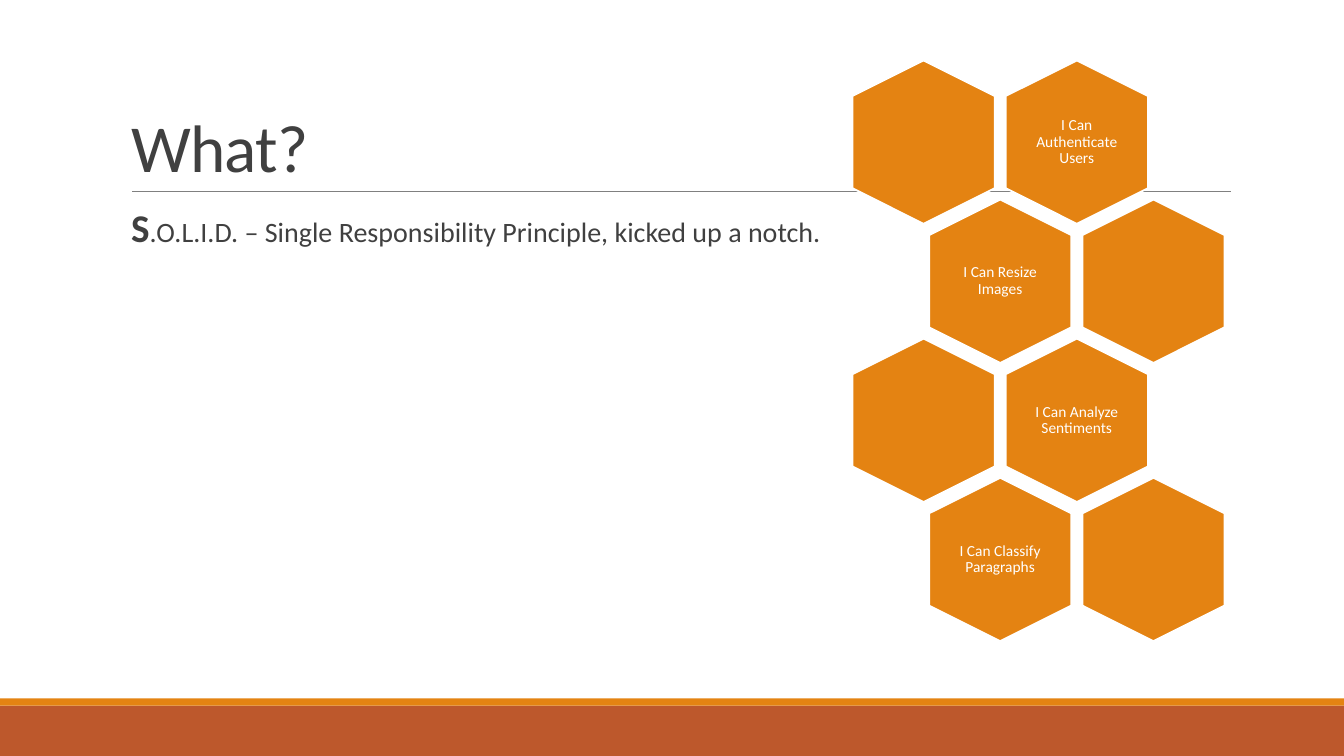
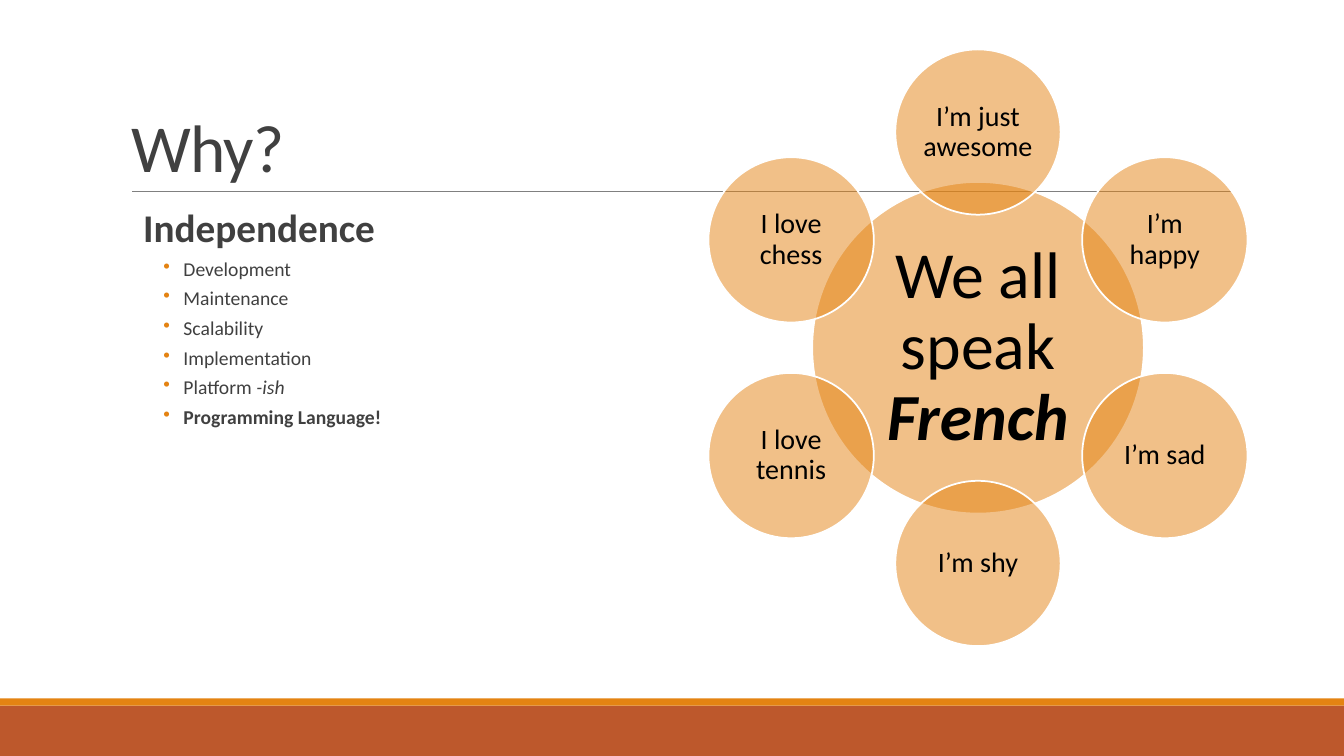
from math import cos, radians, sin

from lxml.etree import SubElement
from pptx import Presentation
from pptx.dml.color import RGBColor
from pptx.enum.shapes import MSO_CONNECTOR, MSO_SHAPE as SHAPE
from pptx.enum.text import MSO_ANCHOR as ANCHOR, PP_ALIGN as ALIGN
from pptx.oxml.ns import qn
from pptx.util import Inches, Pt

COLORS = {
    "orange": "E48312",
    "rust": "BD582C",
    "rule": "808080",
    "text": "404040",
    "white": "FFFFFF",
    "black": "000000",
}
FONT = "Calibri"


def rgb(name):
    return RGBColor.from_string(COLORS[name])


def write(paragraph, text, size=14, color="text", bold=False, italic=False, tracking=None):
    """Add one formatted run; tracking is in hundredths of a point."""
    run = paragraph.add_run()
    run.text = text
    font = run.font
    font.name, font.size = FONT, Pt(size)
    font.bold, font.italic = bold, italic
    font.color.rgb = rgb(color)
    if tracking is not None:
        run._r.get_or_add_rPr().set("spc", str(tracking))


def set_frame(frame, anchor=ANCHOR.TOP, side=0.1, top=0.05):
    frame.word_wrap = True
    frame.vertical_anchor = anchor
    frame.margin_left = frame.margin_right = Inches(side)
    frame.margin_top = frame.margin_bottom = Inches(top)


def set_paragraph(paragraph, align=ALIGN.LEFT, spacing=0.9, before=0, after=0,
                  level=0, margin=0, indent=0, bullet=None):
    paragraph.alignment, paragraph.line_spacing = align, spacing
    paragraph.space_before, paragraph.space_after = Pt(before), Pt(after)
    paragraph.level = level
    properties = paragraph._p.get_or_add_pPr()
    properties.set("marL", str(Inches(margin)))
    properties.set("indent", str(Inches(indent)))
    if bullet:
        color = SubElement(properties, qn("a:buClr"))
        SubElement(color, qn("a:srgbClr")).set("val", COLORS["orange"])
        SubElement(properties, qn("a:buChar")).set("char", bullet)


class Deck:
    def __init__(self):
        self.presentation = Presentation()
        self.presentation.slide_width = Inches(13.33)
        self.presentation.slide_height = Inches(7.5)
        self.slide = None

    def new_slide(self, title):
        layout = self.presentation.slide_layouts[5]
        self.slide = self.presentation.slides.add_slide(layout)
        self.shape(SHAPE.RECTANGLE, 0, 7, 13.33, 0.5, fill="rust")
        self.shape(SHAPE.RECTANGLE, 0, 6.93, 13.33, 0.07)
        self.rule(1.31, 12.21, 1.9)
        heading = self.slide.shapes.title
        heading.left, heading.top = Inches(1.2), Inches(0.31)
        heading.width, heading.height = Inches(11), Inches(1.59)
        set_frame(heading.text_frame, ANCHOR.BOTTOM)
        paragraph = heading.text_frame.paragraphs[0]
        set_paragraph(paragraph, spacing=0.85)
        write(paragraph, title, size=48, tracking=-50)

    def rule(self, left, right, y):
        line = self.slide.shapes.add_connector(
            MSO_CONNECTOR.STRAIGHT, Inches(left), Inches(y), Inches(right), Inches(y))
        line.line.color.rgb = rgb("rule")
        line.line.width = Pt(0.5)
        SubElement(line._element.spPr, qn("a:effectLst"))

    def shape(self, kind, left, top, width, height, fill="orange", outline=None, opacity=None):
        shape = self.slide.shapes.add_shape(
            kind, Inches(left), Inches(top), Inches(width), Inches(height))
        shape.shadow.inherit = False
        shape.fill.solid()
        shape.fill.fore_color.rgb = rgb(fill)
        if opacity is not None:
            color = shape._element.spPr.find(qn("a:solidFill")).find(qn("a:srgbClr"))
            SubElement(color, qn("a:alpha")).set("val", str(opacity * 1000))
        if outline:
            shape.line.color.rgb = rgb(outline)
            shape.line.width = Pt(1.25)
        else:
            shape.line.fill.background()
        return shape

    def text_box(self, left, top, width, height):
        return self.slide.shapes.add_textbox(
            Inches(left), Inches(top), Inches(width), Inches(height)).text_frame

    def body(self, paragraphs):
        """Fill the body area from (paragraph format, [(text, run format)]) pairs."""
        frame = self.text_box(1.2, 2.02, 11, 4.4)
        set_frame(frame, side=0)
        for index, (layout, runs) in enumerate(paragraphs):
            paragraph = frame.add_paragraph() if index else frame.paragraphs[0]
            set_paragraph(paragraph, **layout)
            for text, style in runs:
                write(paragraph, text, **style)

    def label(self, frame, runs, inset, **style):
        """Centre the (text, run format) pairs in a frame."""
        set_frame(frame, ANCHOR.MIDDLE, side=inset, top=inset)
        paragraph = frame.paragraphs[0]
        set_paragraph(paragraph, align=ALIGN.CENTER)
        for text, extra in runs:
            write(paragraph, text, **style, **extra)

    def hexagon(self, x, y, text):
        """Draw a point-up hexagon centred at x, y, with upright text."""
        length, breadth = 1.62, 1.41
        cell = self.shape(SHAPE.HEXAGON, x - length / 2, y - breadth / 2,
                          length, breadth, outline="white")
        cell.rotation = 90
        cell.adjustments[0] = 0.25
        if text:
            frame = self.text_box(x - 0.485, y - 0.56, 0.97, 1.12)
            self.label(frame, [(text, {})], 0.05, size=11, color="white")

    def circle(self, x, y, diameter, runs, size, inset):
        disc = self.shape(SHAPE.OVAL, x - diameter / 2, y - diameter / 2,
                          diameter, diameter, outline="white", opacity=50)
        self.label(disc.text_frame, runs, inset, size=size, color="black")


def what_slide(deck):
    deck.new_slide("What?")
    deck.body([(
        dict(before=12, after=2, margin=0.1),
        [("S", dict(size=28, bold=True)),
         (".O.L.I.D. – Single Responsibility Principle, kicked up a notch.", dict(size=20))],
    )])
    skills = [
        ("", "I Can Authenticate Users"),
        ("I Can Resize Images", ""),
        ("", "I Can Analyze Sentiments"),
        ("I Can Classify Paragraphs", ""),
    ]
    pitch, row_step = 1.52, 1.38
    for row, cells in enumerate(skills):
        for column, skill in enumerate(cells):
            x = 9.16 + pitch * (column + row % 2 / 2)
            deck.hexagon(x, 1.41 + row_step * row, skill)


def why_slide(deck):
    deck.new_slide("Why?")
    item = dict(before=2, after=4, level=2, margin=0.62, indent=-0.2, bullet="•")
    benefits = [[(name, {})] for name in
                ("Development", "Maintenance", "Scalability", "Implementation")]
    benefits.append([("Platform", {}), (" -ish", dict(italic=True))])
    benefits.append([("Programming Language!", dict(bold=True))])
    heading = (dict(before=2, after=4, level=1, margin=0.22),
               [("Independence", dict(size=28, bold=True))])
    deck.body([heading] + [(item, runs) for runs in benefits])

    center_x, center_y, radius = 9.7, 3.45, 2.14
    deck.circle(center_x, center_y, 3.29,
                [("We all speak ", {}), ("French", dict(bold=True, italic=True))],
                size=47, inset=0.07)
    voices = ["I’m just awesome", "I’m happy", "I’m sad",
              "I’m shy", "I love tennis", "I love chess"]
    for index, voice in enumerate(voices):
        angle = radians(index * 360 / len(voices))
        deck.circle(center_x + radius * sin(angle), center_y - radius * cos(angle),
                    1.64, [(voice, {})], size=20, inset=0.03)


def main():
    deck = Deck()
    what_slide(deck)
    why_slide(deck)
    deck.presentation.save("out.pptx")


if __name__ == "__main__":
    main()
